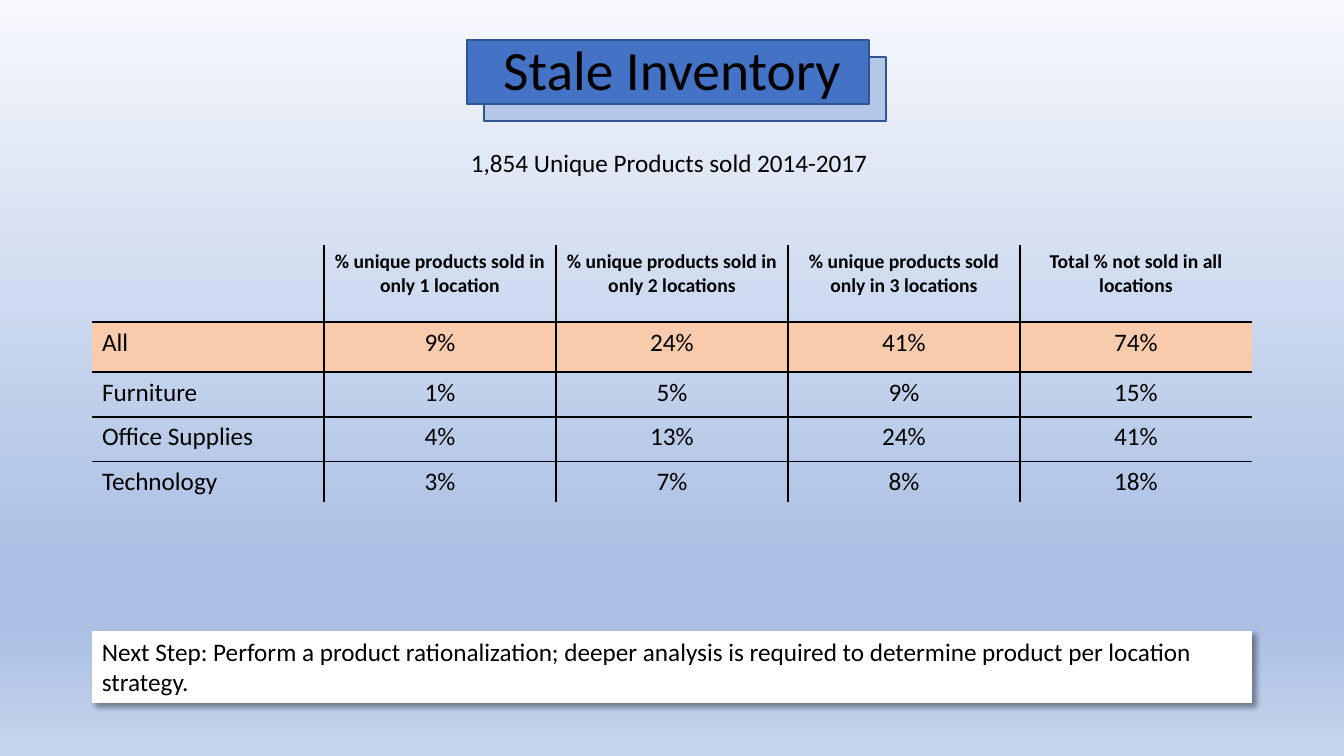
"""Build the Stale Inventory slide."""
from pptx import Presentation
from pptx.dml.color import RGBColor
from pptx.enum.shapes import MSO_SHAPE
from pptx.enum.text import MSO_ANCHOR, PP_ALIGN
from pptx.oxml import parse_xml
from pptx.oxml.ns import nsdecls, qn
from pptx.util import Emu, Pt

SCALE = 914400 / 100.8
COLORS = {"title": "4472C4", "title_back": "B4C7E7", "outline": "325491",
          "highlight": "F8CBAD", "text": "000000", "note": "FFFFFF"}
BACKGROUND = [(0, "F6F8FC"), (74, "ABC0E4"), (83, "ABC0E4"), (100, "C7D5ED")]
LEFT, WIDTH = 92, 1160
ROW_HEIGHTS = [77, 50, 45, 45, 40]
ROWS = [
    ["", "% unique products sold in only 1 location",
     "% unique products sold in only 2 locations",
     "% unique products sold only in 3 locations",
     "Total % not sold in all locations"],
    ["All", "9%", "24%", "41%", "74%"],
    ["Furniture", "1%", "5%", "9%", "15%"],
    ["Office Supplies", "4%", "13%", "24%", "41%"],
    ["Technology", "3%", "7%", "8%", "18%"],
]


def px(*lengths):
    return [Emu(round(n * SCALE)) for n in lengths]


def write(tf, text, size, align=PP_ALIGN.CENTER, bold=False):
    tf.word_wrap = True
    p = tf.paragraphs[0]
    p.text = text
    p.alignment = align
    p.font.name = "Calibri"
    p.font.size = Pt(size)
    p.font.bold = bold
    p.font.color.rgb = RGBColor.from_string(COLORS["text"])
    return p


prs = Presentation()
prs.slide_width, prs.slide_height = px(1344, 756)
slide = prs.slides.add_slide(prs.slide_layouts[6])

fill = slide.background.fill
fill.gradient()
fill.gradient_angle = 270
stops = slide.element.find(".//" + qn("a:gsLst"))
for stop in list(stops):
    stops.remove(stop)
for position, color in BACKGROUND:
    stops.append(parse_xml(
        f'<a:gs {nsdecls("a")} pos="{position * 1000}"><a:srgbClr val="{color}"/></a:gs>'))

for x, y, color in [(484, 57, "title_back"), (467, 40, "title")]:
    sp = slide.shapes.add_shape(MSO_SHAPE.RECTANGLE, *px(x, y, 402, 64))
    sp.shadow.inherit = False
    sp.fill.solid()
    sp.fill.fore_color.rgb = RGBColor.from_string(COLORS[color])
    sp.line.color.rgb = RGBColor.from_string(COLORS["outline"])
    sp.line.width = Pt(1)

title = slide.shapes.add_textbox(*px(LEFT, 40, WIDTH, 64))
title.text_frame.vertical_anchor = MSO_ANCHOR.MIDDLE
write(title.text_frame, "Stale Inventory", 39.6).line_spacing = 0.9

table = slide.shapes.add_table(
    len(ROWS), len(ROWS[0]), *px(LEFT, 245, WIDTH, sum(ROW_HEIGHTS))).table
table.first_row = table.horz_banding = False
for column in table.columns:
    column.width = px(WIDTH / len(ROWS[0]))[0]
last_row, last_col = len(ROWS) - 1, len(ROWS[0]) - 1
for i, values in enumerate(ROWS):
    table.rows[i].height = px(ROW_HEIGHTS[i])[0]
    for j, text in enumerate(values):
        cell = table.cell(i, j)
        write(cell.text_frame, text, 18 if i or not j else 14,
              PP_ALIGN.CENTER if j else PP_ALIGN.LEFT, bold=i == 0)
        if i == 1:
            cell.fill.solid()
            cell.fill.fore_color.rgb = RGBColor.from_string(COLORS["highlight"])
        else:
            cell.fill.background()
        inner = {"lnL": j > 0, "lnR": j < last_col, "lnT": i > 0, "lnB": i < last_row}
        tcPr = cell._tc.get_or_add_tcPr()
        for k, (side, shown) in enumerate(inner.items()):
            paint = (f'<a:solidFill><a:srgbClr val="{COLORS["text"]}"/></a:solidFill>'
                     if shown else "<a:noFill/>")
            tcPr.insert(k, parse_xml(
                f'<a:{side} {nsdecls("a")} w="{Pt(1)}">{paint}</a:{side}>'))

subtitle = slide.shapes.add_textbox(*px(453, 142, 438, 40))
write(subtitle.text_frame, "1,854 Unique Products sold 2014-2017 ", 18)

note = slide.shapes.add_shape(MSO_SHAPE.RECTANGLE, *px(LEFT, 631, WIDTH, 72))
note.fill.solid()
note.fill.fore_color.rgb = RGBColor.from_string(COLORS["note"])
note.line.fill.background()
note.shadow.inherit = False
note.element.spPr.find(qn("a:effectLst")).append(parse_xml(
    f'<a:outerShdw {nsdecls("a")} blurRad="{Pt(4)}" dist="{Pt(3)}" dir="2700000" '
    f'algn="tl" rotWithShape="0"><a:srgbClr val="{COLORS["text"]}">'
    '<a:alpha val="40000"/></a:srgbClr></a:outerShdw>'))
note.text_frame.vertical_anchor = MSO_ANCHOR.TOP
write(note.text_frame, "Next Step: Perform a product rationalization; deeper analysis is "
      "required to determine product per location strategy.", 18, PP_ALIGN.LEFT)

prs.save("out.pptx")
